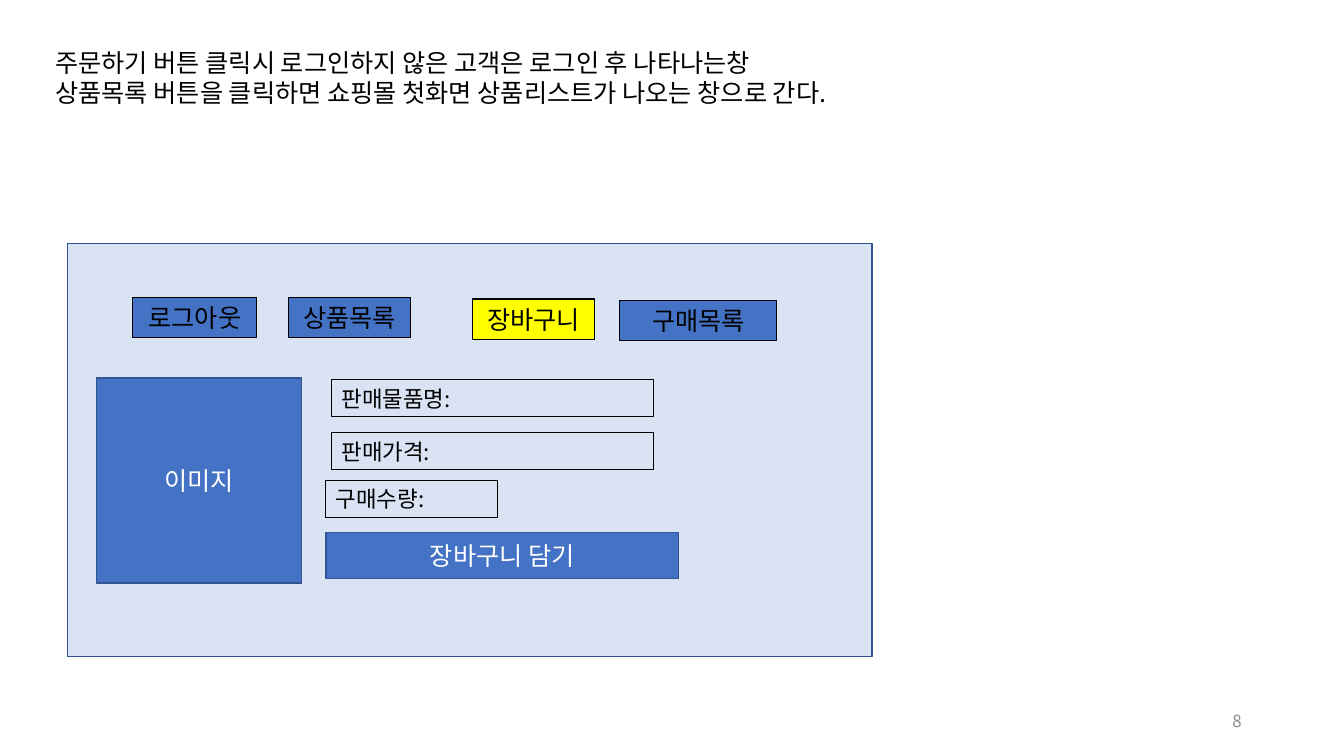
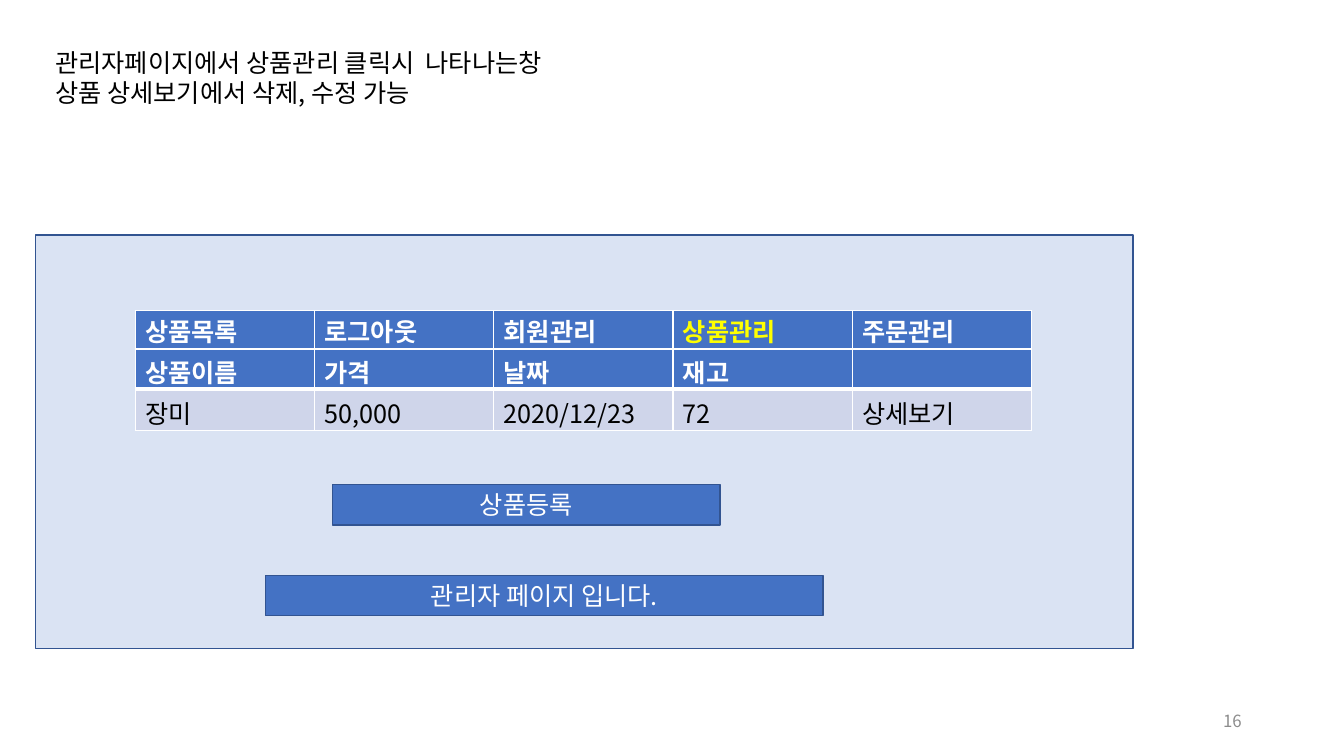
import pptx
import pptx.util
import pptx.oxml
import pptx.oxml.ns
import pptx.dml.color
import pptx.enum.shapes
import pptx.enum.text
import lxml.etree

ALIGN = pptx.enum.text.PP_ALIGN
ANCHOR = pptx.enum.text.MSO_ANCHOR


class Storyboard:
    columns, rows = 80, 45
    typeface = "Noto Sans CJK KR"
    leading = 1.2
    colours = {
        "paper": "FFFFFF", "ink": "000000", "panel": "DAE3F3",
        "blue": "4472C4", "edge": "325491", "active": "FFFF00",
        "body": "CFD5EA", "muted": "8C8C8C",
    }
    frame_format = {
        "word_wrap": True, "vertical_anchor": ANCHOR.MIDDLE,
        "margin_left": pptx.util.Inches(0.1), "margin_right": pptx.util.Inches(0.1),
        "margin_top": pptx.util.Inches(0.05), "margin_bottom": pptx.util.Inches(0.05),
    }
    cell_format = {
        "vertical_anchor": ANCHOR.BOTTOM,
        "margin_top": pptx.util.Inches(0.05), "margin_bottom": 0,
    }

    def __init__(self):
        self.deck = pptx.Presentation()
        self.deck.slide_width = pptx.util.Inches(13.33)
        self.deck.slide_height = pptx.util.Inches(7.5)
        self.page = None

    def across(self, count):
        return round(self.deck.slide_width * count / self.columns)

    def down(self, count):
        return round(self.deck.slide_height * count / self.rows)

    def place(self, left, top, width, height):
        return self.across(left), self.down(top), self.across(width), self.down(height)

    def colour(self, name):
        return pptx.dml.color.RGBColor.from_string(self.colours[name])

    def apply(self, target, values):
        for name, value in values.items():
            setattr(target, name, value)

    def paint(self, target, name):
        target.fill.solid()
        target.fill.fore_color.rgb = self.colour(name)

    def add_lines(self, frame, lines, colour="ink", size=18, bold=False, align=ALIGN.LEFT):
        for index, line in enumerate(lines):
            para = frame.add_paragraph() if index else frame.paragraphs[0]
            self.apply(para, {"alignment": align,
                              "line_spacing": pptx.util.Pt(size * self.leading)})
            if not line:
                continue
            span = para.add_run()
            span.text = line
            span.font.color.rgb = self.colour(colour)
            self.apply(span.font, {"name": self.typeface, "bold": bold,
                                   "size": pptx.util.Pt(size)})
            east_asian = lxml.etree.SubElement(
                span._r.get_or_add_rPr(), pptx.oxml.ns.qn("a:ea"))
            east_asian.set("typeface", self.typeface)

    def text(self, place, lines, **style):
        box = self.page.shapes.add_textbox(*self.place(*place))
        self.apply(box.text_frame, self.frame_format)
        self.add_lines(box.text_frame, lines, **style)

    def start(self, title, number):
        self.page = self.deck.slides.add_slide(self.deck.slide_layouts[6])
        self.text((2.7, 2.46, 75.9, 4.26), title)
        self.text((56.5, 41.7, 18, 2.4), [number],
                  colour="muted", size=12, align=ALIGN.RIGHT)

    def rectangle(self, place, fill, edge, weight):
        box = self.page.shapes.add_shape(
            pptx.enum.shapes.MSO_SHAPE.RECTANGLE, *self.place(*place))
        box.shadow.inherit = False
        if fill:
            self.paint(box, fill)
        else:
            box.fill.background()
        box.line.color.rgb = self.colour(edge)
        box.line.width = pptx.util.Pt(weight)
        self.apply(box.text_frame, self.frame_format)
        return box

    def panel(self, left, top, width):
        self.rectangle((left, top, width, 24.6), "panel", "edge", 1)

    def button(self, place, label):
        box = self.rectangle(place, "blue", "edge", 1)
        self.add_lines(box.text_frame, [label], colour="paper", align=ALIGN.CENTER)

    def tab(self, left, top, width, label, fill="blue"):
        box = self.rectangle((left, top, width, 2.4), fill, "ink", 0.75)
        self.add_lines(box.text_frame, [label], align=ALIGN.CENTER)

    def field(self, left, top, width, label):
        box = self.rectangle((left, top, width, 2.2), None, "ink", 0.75)
        self.add_lines(box.text_frame, [label], size=16)

    def borders(self, cell, weights):
        for side, weight in zip("LRTB", weights):
            cell._tc.get_or_add_tcPr().append(pptx.oxml.parse_xml(
                f'<a:ln{side} {pptx.oxml.ns.nsdecls("a")} w="{pptx.util.Pt(weight)}">'
                f'<a:solidFill><a:srgbClr val="{self.colours["paper"]}"/></a:solidFill>'
                f'</a:ln{side}>'))

    def table(self, left, top, width, heights, records, active=None):
        place = self.place(left, top, width, sum(heights))
        count = len(records[0])
        grid = self.page.shapes.add_table(len(records), count, *place).table
        grid.horz_banding = False
        for column in grid.columns:
            column.width = self.across(width / count)
        for row, (height, record) in enumerate(zip(heights, records)):
            grid.rows[row].height = self.down(height)
            header = row == 0
            rule = 3 if header and len(records) > 1 else 1
            for index, label in enumerate(record):
                cell = grid.cell(row, index)
                self.borders(cell, (1, 1, 1 if header else 3, rule))
                self.paint(cell, "blue" if header else "body")
                self.apply(cell, self.cell_format)
                colour = "paper" if header else "ink"
                self.add_lines(cell.text_frame, [label], bold=header,
                               colour="active" if label == active else colour)


def product_page(board):
    board.start(["주문하기 버튼 클릭시 로그인하지 않은 고객은 로그인 후 나타나는창",
                 "상품목록 버튼을 클릭하면 쇼핑몰 첫화면 상품리스트가 나오는 창으로 간다."], "8")
    board.panel(4, 14.5, 47.9)
    board.tab(7.9, 17.7, 7.4, "로그아웃")
    board.tab(17.15, 17.7, 7.3, "상품목록")
    board.tab(28.1, 17.8, 7.3, "장바구니", "active")
    board.tab(36.9, 17.9, 9.35, "구매목록")
    board.button((5.75, 22.5, 12.2, 12.2), "이미지")
    board.field(19.75, 22.6, 19.15, "판매물품명:")
    board.field(19.75, 25.75, 19.15, "판매가격:")
    board.field(19.4, 28.6, 10.2, "구매수량:")
    board.button((19.4, 31.7, 21, 2.75), "장바구니 담기")


def admin_page(board):
    board.start(["관리자페이지에서 상품관리 클릭시  나타나는창",
                 "상품 상세보기에서 삭제, 수정 가능"], "16")
    board.panel(2.1, 14, 65.35)
    board.table(8.05, 18.5, 53.35, [2.27],
                [["상품목록", "로그아웃", "회원관리", "상품관리", "주문관리"]], "상품관리")
    board.table(8.05, 20.77, 53.35, [2.4, 2.45],
                [["상품이름", "가격", "날짜", "재고", ""],
                 ["장미", "50,000", "2020/12/23", "72", "상세보기"]])
    board.button((19.8, 28.85, 23.05, 2.4), "상품등록")
    board.button((15.8, 34.25, 33.2, 2.4), "관리자 페이지 입니다.")


def main():
    board = Storyboard()
    product_page(board)
    admin_page(board)
    board.deck.save("out.pptx")


if __name__ == "__main__":
    main()
